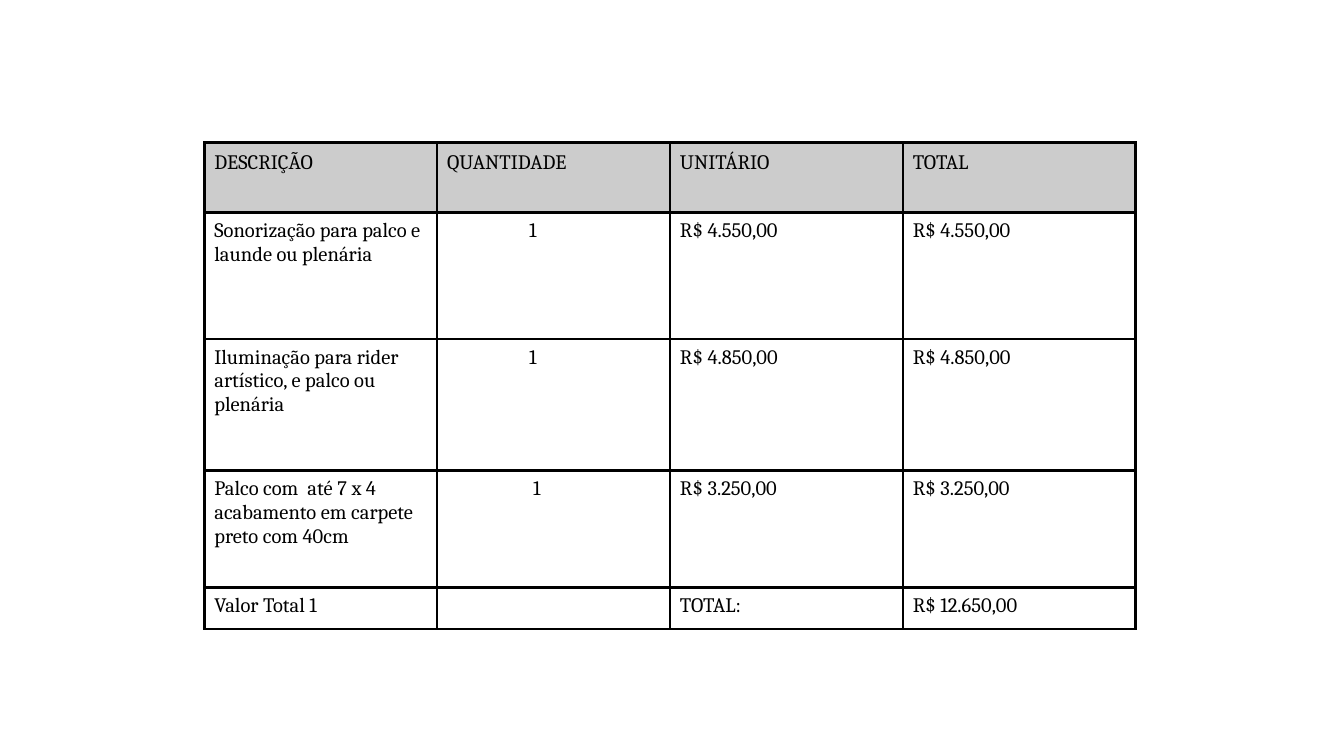
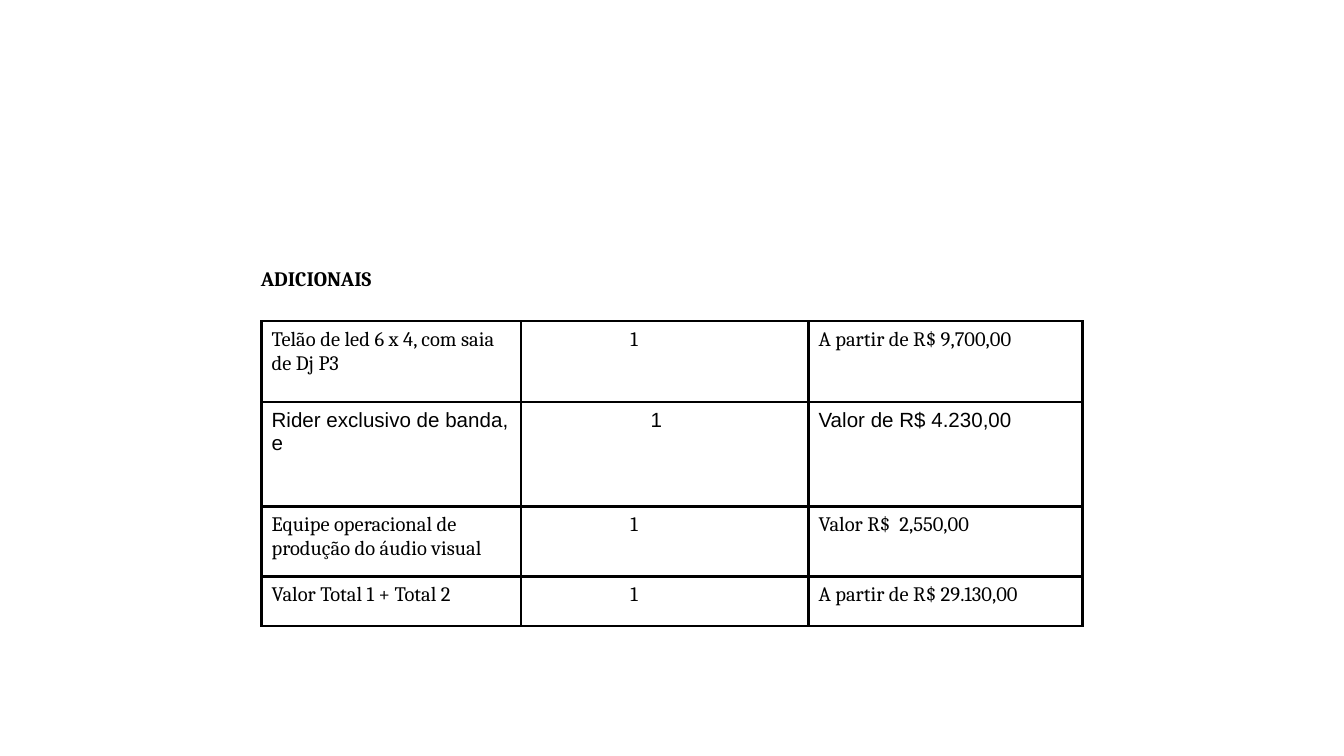
from dataclasses import dataclass
from lxml.etree import SubElement
from pptx import Presentation
from pptx.dml.color import RGBColor
from pptx.enum.text import MSO_ANCHOR, MSO_AUTO_SIZE, PP_ALIGN
from pptx.oxml.ns import qn
from pptx.util import Inches, Pt

SLIDE_WIDTH = Inches(10)
SLIDE_HEIGHT = SLIDE_WIDTH * 9 // 16
GRID = SLIDE_WIDTH // 100  # square grid, 100 columns across the slide
TITLE_ONLY, BLANK = 5, 6


@dataclass(frozen=True)
class Theme:
    ink: RGBColor = RGBColor.from_string("000000")
    header: RGBColor = RGBColor.from_string("CCCCCC")
    serif: str = "Cambria"
    sans: str = "Arial"
    size: int = Pt(11)
    border: int = Pt(1.47)
    cell_inset: tuple = (0.75, 0.5)
    title_inset: float = 1


@dataclass(frozen=True)
class Box:
    left: float
    top: float
    width: float
    height: float

    def lengths(self):
        return [grid(value) for value in (self.left, self.top, self.width, self.height)]


THEME = Theme()


def grid(units):
    return round(units * GRID)


def split(total, weights):
    return [grid(total * weight / sum(weights)) for weight in weights]


def style_paragraph(para, font_name=THEME.serif, bold=False, heading=False):
    para.alignment = PP_ALIGN.LEFT
    if heading:
        para.line_spacing = 1.07
        para.space_after = Pt(8)
    font = para.font
    font.name, font.size, font.bold = font_name, THEME.size, bold
    font.color.rgb = THEME.ink


def set_insets(target, horizontal, vertical):
    target.margin_left = target.margin_right = grid(horizontal)
    target.margin_top = target.margin_bottom = grid(vertical)


def add_borders(cell):
    properties = cell._tc.get_or_add_tcPr()
    for side in ("lnL", "lnR", "lnT", "lnB"):
        line = SubElement(properties, qn(f"a:{side}"), w=str(THEME.border))
        fill = SubElement(line, qn("a:solidFill"))
        SubElement(fill, qn("a:srgbClr"), val=str(THEME.ink))


def fill_cell(cell, text, font_name, indent, heading):
    set_insets(cell, *THEME.cell_inset)
    add_borders(cell)
    if heading:
        cell.fill.solid()
        cell.fill.fore_color.rgb = THEME.header
    else:
        cell.fill.background()
    para = cell.text_frame.paragraphs[0]
    if text:
        para.text = text
    else:
        SubElement(para._p, qn("a:endParaRPr"), sz=str(round(THEME.size.pt * 100)))
    style_paragraph(para, font_name, heading=heading)
    if indent:
        properties = para._p.get_or_add_pPr()
        properties.set("marL", str(grid(indent)))
        properties.set("indent", "0")


def add_price_table(page, box, columns, rows, content, indents, header=False, fonts=None):
    """Draw a bordered table; indents shift the quantity column, one per row."""
    table = page.shapes.add_table(len(rows), len(columns), *box.lengths()).table
    table.first_row = table.horz_banding = False
    for column, width in zip(table.columns, split(box.width, columns)):
        column.width = width
    for row, height in zip(table.rows, split(box.height, rows)):
        row.height = height
    fonts = fonts or [THEME.serif] * len(rows)
    for r, (texts, font_name, indent) in enumerate(zip(content, fonts, indents)):
        for c, text in enumerate(texts):
            fill_cell(table.cell(r, c), text, font_name,
                      indent if c == 1 else 0, header and r == 0)


def place_title(page, box, text):
    title = page.shapes.title
    title.left, title.top, title.width, title.height = box.lengths()
    frame = title.text_frame
    frame.word_wrap, frame.auto_size = True, MSO_AUTO_SIZE.NONE
    frame.vertical_anchor = MSO_ANCHOR.MIDDLE
    set_insets(frame, THEME.title_inset, THEME.title_inset)
    para = frame.paragraphs[0]
    para.text = text
    style_paragraph(para, bold=True, heading=True)


def build_budget(deck):
    page = deck.slides.add_slide(deck.slide_layouts[BLANK])
    content = [
        ("DESCRIÇÃO", "QUANTIDADE", "UNITÁRIO", "TOTAL"),
        ("Sonorização para palco e launde ou plenária", "1", "R$ 4.550,00", "R$ 4.550,00"),
        ("Iluminação para rider  artístico, e palco ou plenária", "1",
         "R$ 4.850,00", "R$ 4.850,00"),
        ("Palco com  até 7 x 4 acabamento em carpete preto com 40cm", "1",
         "R$ 3.250,00", "R$ 3.250,00"),
        ("Valor Total 1", "", "TOTAL:", "R$ 12.650,00"),
    ]
    add_price_table(page, Box(15.2, 10.62, 69.3, 36.2), [1] * 4,
                    [5.2, 9.4, 9.8, 8.7, 3.1], content, [0, 6.1, 6.1, 6.4, 0], header=True)


def build_extras(deck):
    page = deck.slides.add_slide(deck.slide_layouts[TITLE_ONLY])
    place_title(page, Box(18.4, 17.4, 32.8, 6.5), "ADICIONAIS")
    content = [
        ("Telão de led 6 x 4, com saia de Dj P3", "1", "A partir de R$ 9,700,00"),
        ("Rider exclusivo de banda, e", "1", "Valor de R$ 4.230,00"),
        ("Equipe operacional de produção do áudio visual", "1", "Valor R$  2,550,00"),
        ("Valor Total 1 + Total 2", "1", "A partir de R$ 29.130,00"),
    ]
    add_price_table(page, Box(19.46, 23.9, 61.1, 22.7), [19.3, 21.4, 20.4],
                    [6, 7.8, 5.2, 3.7], content, [7.4, 8.9, 7.4, 7.4],
                    fonts=[THEME.serif, THEME.sans, THEME.serif, THEME.serif])


def main():
    deck = Presentation()
    deck.slide_width, deck.slide_height = SLIDE_WIDTH, SLIDE_HEIGHT
    build_budget(deck)
    build_extras(deck)
    deck.save("out.pptx")


if __name__ == "__main__":
    main()
